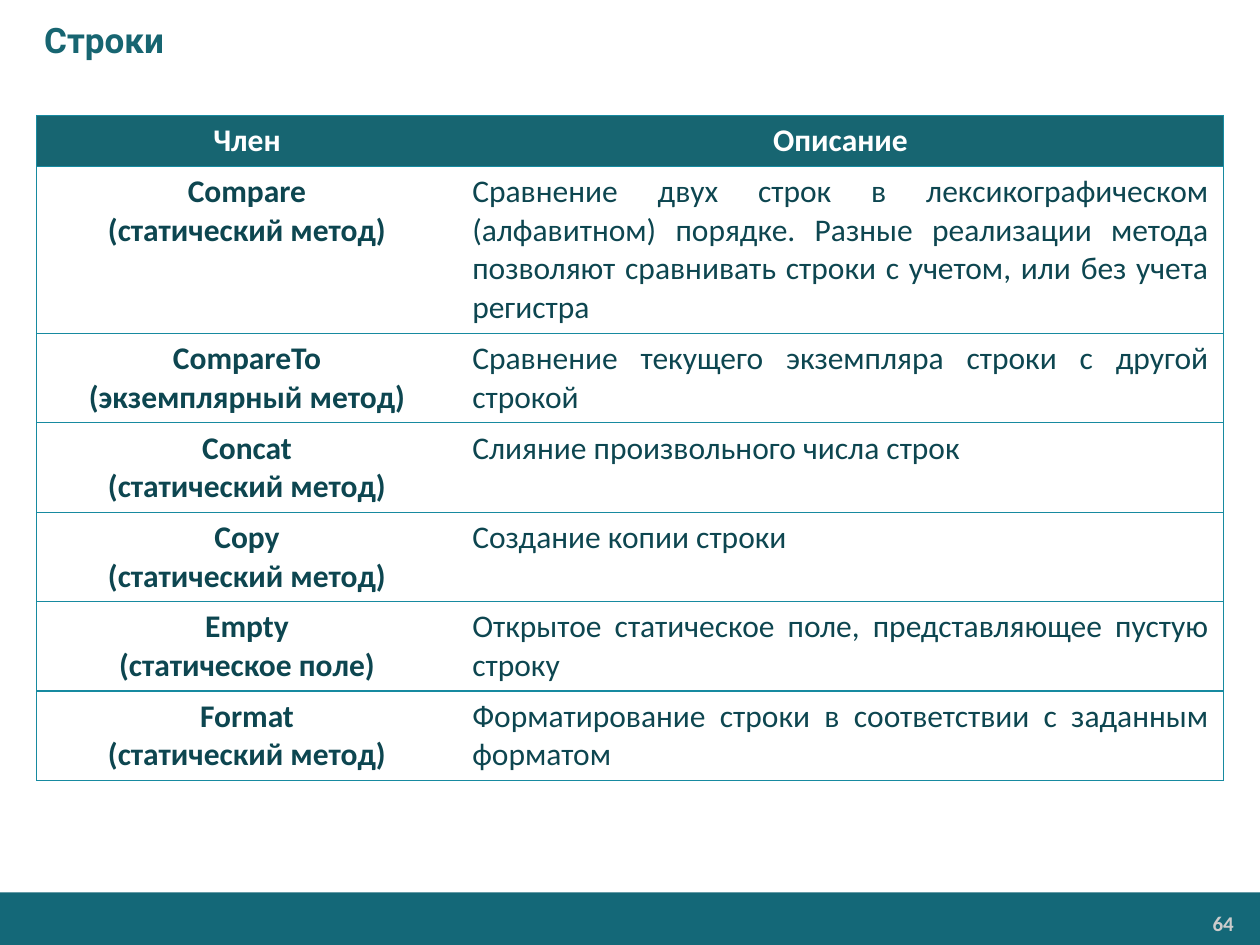
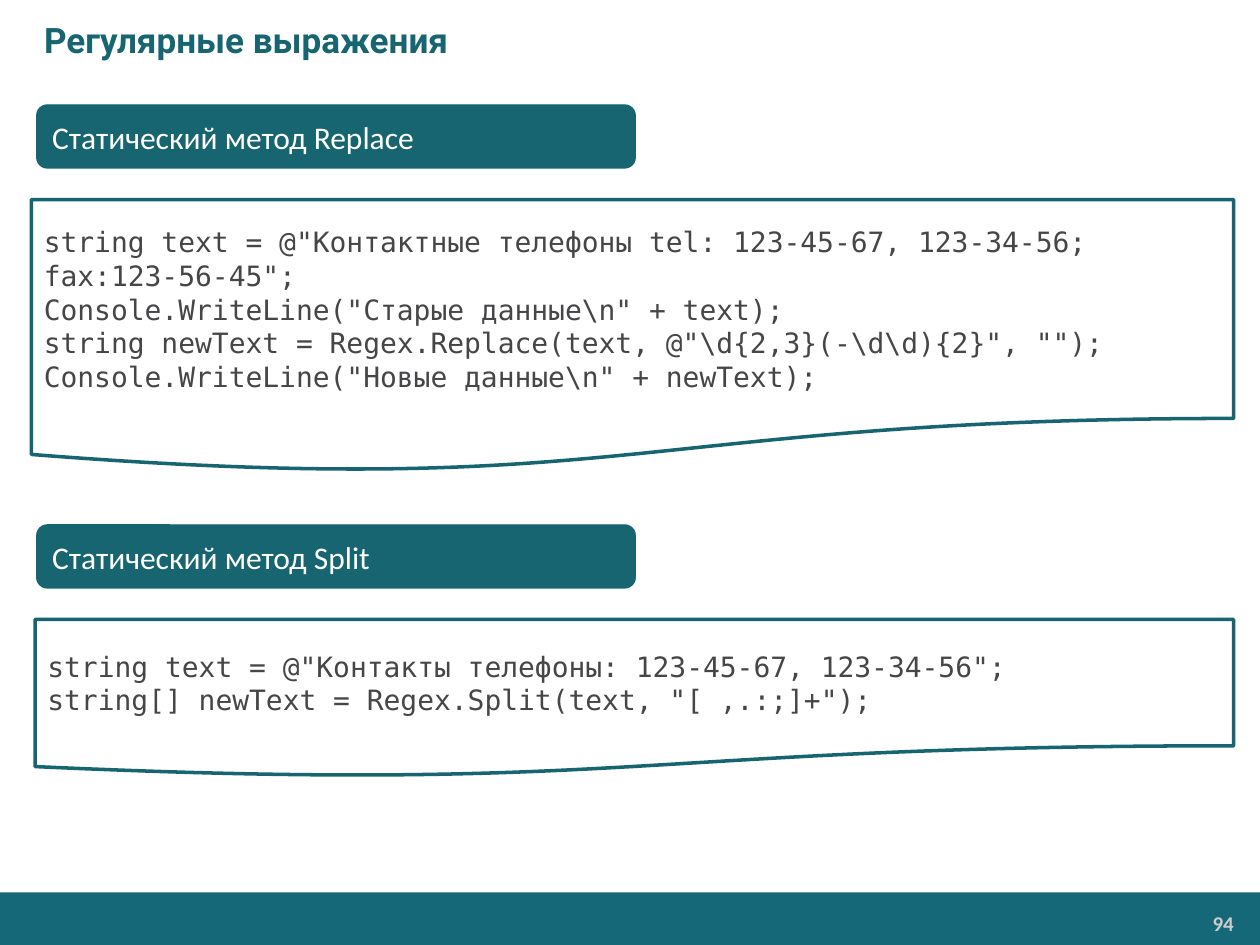
from lxml import etree
from pptx import Presentation
from pptx.dml.color import RGBColor
from pptx.enum.shapes import MSO_SHAPE
from pptx.enum.text import MSO_ANCHOR, MSO_AUTO_SIZE, PP_ALIGN
from pptx.oxml.ns import qn
from pptx.util import Pt

# Shared colours and fonts
TEAL = RGBColor(0x17, 0x65, 0x71)
BAND_TEAL = RGBColor(0x14, 0x68, 0x78)
BORDER_TEAL = RGBColor(0x17, 0x8A, 0xA0)
DARK_TEAL = RGBColor(0x0D, 0x46, 0x50)
CODE_GREY = RGBColor(0x46, 0x45, 0x47)
NUMBER_GREY = RGBColor(0xCC, 0xCC, 0xCC)
WHITE = RGBColor(0xFF, 0xFF, 0xFF)
TITLE_FONT, BODY_FONT, CODE_FONT = "Roboto", "Calibri", "DejaVu Sans Mono"


def write_lines(text_frame, lines, font_name, size, color, bold=False, align=PP_ALIGN.LEFT):
    """Write one paragraph per line, all in the same style."""
    text_frame.word_wrap = True
    for index, line in enumerate(lines):
        paragraph = text_frame.add_paragraph() if index else text_frame.paragraphs[0]
        paragraph.alignment = align
        run = paragraph.add_run()
        run.text = line
        run.font.name = font_name
        run.font.size = Pt(size)
        run.font.bold = bold
        run.font.color.rgb = color


def add_box(slide, kind, left, top, width, height, fill, line=None, line_width=0.75):
    """Add a flat preset shape with an optional outline."""
    shape = slide.shapes.add_shape(kind, Pt(left), Pt(top), Pt(width), Pt(height))
    shape.shadow.inherit = False
    shape.fill.solid()
    shape.fill.fore_color.rgb = fill
    if line is None:
        shape.line.fill.background()
    else:
        shape.line.color.rgb = line
        shape.line.width = Pt(line_width)
    shape.text_frame.vertical_anchor = MSO_ANCHOR.MIDDLE
    return shape


presentation = Presentation()
presentation.slide_width = Pt(720)
presentation.slide_height = Pt(540)

# Title, footer band and page number of every slide
slides = []
for title_text, page_number in [("Строки", "64"), ("Регулярные выражения", "94")]:
    slide = presentation.slides.add_slide(presentation.slide_layouts[5])
    slides.append(slide)
    add_box(slide, MSO_SHAPE.RECTANGLE, 0, 510, 720, 30, BAND_TEAL)

    number_box = slide.shapes.add_textbox(Pt(592.6), Pt(517.7), Pt(117.4), Pt(20))
    number_frame = number_box.text_frame
    number_frame.margin_left = number_frame.margin_right = Pt(5)
    number_frame.margin_top = number_frame.margin_bottom = Pt(2.9)
    write_lines(number_frame, [page_number], BODY_FONT, 12, NUMBER_GREY, True, PP_ALIGN.RIGHT)

    title = slide.shapes.title
    title.left, title.top, title.width, title.height = Pt(0), Pt(0), Pt(720), Pt(45)
    title.text_frame.auto_size = MSO_AUTO_SIZE.NONE
    title.text_frame.vertical_anchor = MSO_ANCHOR.MIDDLE
    title.text_frame.margin_left = Pt(25.2)
    write_lines(title.text_frame, [title_text], TITLE_FONT, 20, TEAL, True)

strings_slide, regex_slide = slides

# Table of string members
STATIC_METHOD = "(статический метод)"
table_rows = [
    (["Член"], "Описание"),
    (["Compare", STATIC_METHOD],
     "Сравнение двух строк в лексикографическом (алфавитном) порядке. Разные реализации "
     "метода позволяют сравнивать строки с учетом, или без учета регистра"),
    (["CompareTo", "(экземплярный метод)"],
     "Сравнение текущего экземпляра строки с другой строкой"),
    (["Concat", STATIC_METHOD], "Слияние произвольного числа строк"),
    (["Copy", STATIC_METHOD], "Создание копии строки"),
    (["Empty", "(статическое поле)"],
     "Открытое статическое поле, представляющее пустую строку"),
    (["Format", STATIC_METHOD], "Форматирование строки в соответствии с заданным форматом"),
]
row_heights = [29.2, 95.4] + [51.1] * 5
table = strings_slide.shapes.add_table(
    len(table_rows), 2, Pt(21), Pt(66), Pt(678.3), Pt(sum(row_heights))).table
table.horz_banding = False
table.columns[0].width = Pt(240.3)
table.columns[1].width = Pt(438)

for row_index, (member, description) in enumerate(table_rows):
    table.rows[row_index].height = Pt(row_heights[row_index])
    is_header = row_index == 0
    for column_index, lines in enumerate([member, [description]]):
        cell = table.cell(row_index, column_index)
        cell.margin_left = cell.margin_right = Pt(8.6)
        cell.margin_top = cell.margin_bottom = Pt(3.6)
        is_member = column_index == 0
        write_lines(cell.text_frame, lines, BODY_FONT, 18,
                    WHITE if is_header else DARK_TEAL, is_header or is_member,
                    PP_ALIGN.CENTER if is_header or is_member else PP_ALIGN.JUSTIFY)

        # Borders everywhere except between the columns
        inner_side = "a:lnR" if is_member else "a:lnL"
        properties = cell._tc.get_or_add_tcPr()
        for side in ("a:lnL", "a:lnR", "a:lnT", "a:lnB"):
            border = etree.SubElement(properties, qn(side), w=str(Pt(0.75)))
            if side == inner_side:
                etree.SubElement(border, qn("a:noFill"))
            else:
                border_fill = etree.SubElement(border, qn("a:solidFill"))
                etree.SubElement(border_fill, qn("a:srgbClr"), val=str(BORDER_TEAL))
        cell.fill.solid()
        cell.fill.fore_color.rgb = TEAL if is_header else WHITE

# Regular expression methods: a heading with its code below
code_examples = [
    ("Статический метод Replace", 60, 18, 156, [
        'string text = @"Контактные телефоны tel: 123-45-67, 123-34-56; fax:123-56-45";',
        r'Console.WriteLine("Старые данные\n" + text);',
        r'string newText = Regex.Replace(text, @"\d{2,3}(-\d\d){2}", "");',
        r'Console.WriteLine("Новые данные\n" + newText);',
    ]),
    ("Статический метод Split", 300, 20, 90, [
        'string text = @"Контакты телефоны: 123-45-67, 123-34-56";',
        'string[] newText = Regex.Split(text, "[ ,.:;]+");',
    ]),
]
CODE_RIGHT = 705
for heading_text, top, code_left, code_height, code_lines in code_examples:
    heading = add_box(regex_slide, MSO_SHAPE.ROUNDED_RECTANGLE, 21, top, 342, 36, TEAL, TEAL)
    write_lines(heading.text_frame, [heading_text], BODY_FONT, 18, WHITE)
    code_box = add_box(regex_slide, MSO_SHAPE.FLOWCHART_DOCUMENT, code_left, top + 54,
                       CODE_RIGHT - code_left, code_height, WHITE, TEAL, 2)
    write_lines(code_box.text_frame, code_lines, CODE_FONT, 16, CODE_GREY)

presentation.save("out.pptx")
